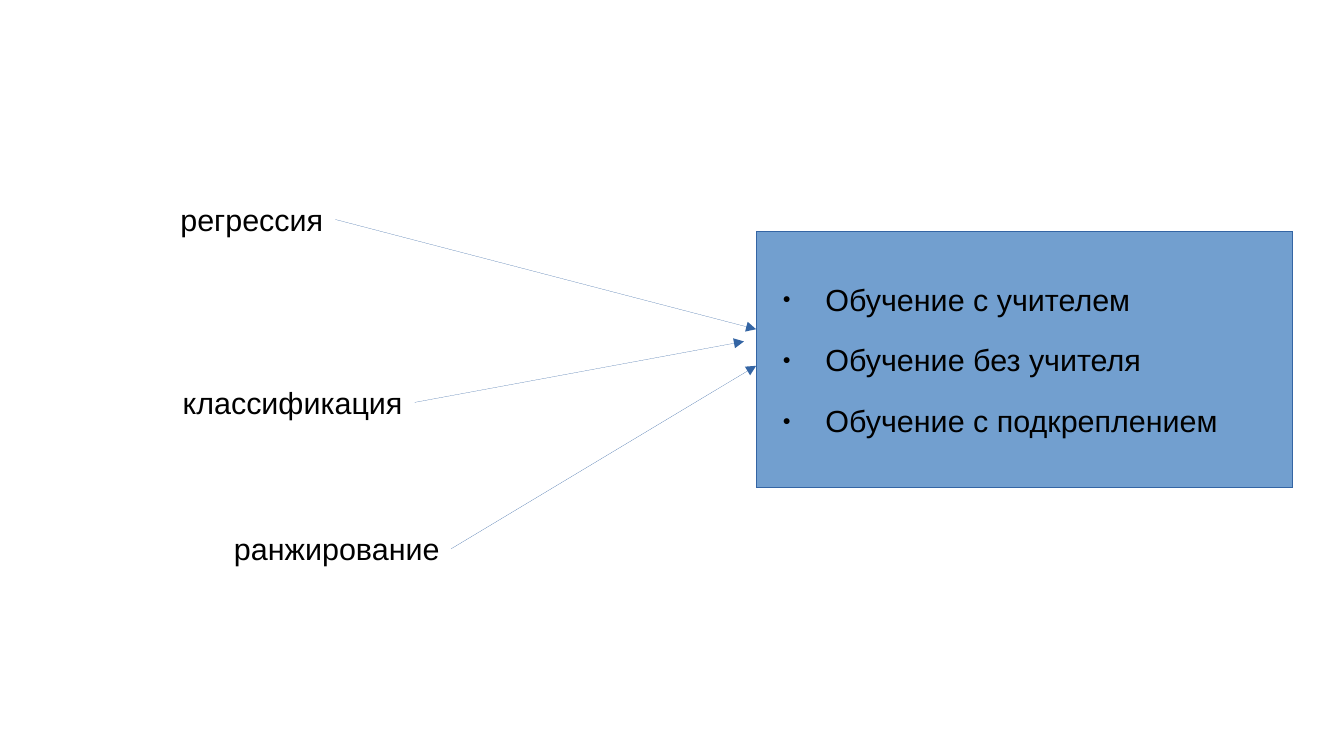
"""Build a slide linking machine learning tasks to the kinds of learning."""
from lxml.etree import SubElement
from pptx import Presentation
from pptx.dml.color import RGBColor
from pptx.enum.shapes import MSO_CONNECTOR, MSO_SHAPE
from pptx.enum.text import MSO_ANCHOR, MSO_AUTO_SIZE, PP_ALIGN
from pptx.oxml.ns import qn
from pptx.util import Inches, Pt

COLORS = {"text": "000000", "panel": "729FCF", "line": "3465A4"}
FONT, FONT_SIZE = "Arial", 18
TASKS = [
    ("регрессия", (1.38, 1.6, 1.38, 0.38), (2.75, 1.8), (6.2, 2.7)),
    ("классификация", (1.4, 3.1, 2.03, 0.38), (3.4, 3.3), (6.1, 2.8)),
    ("ранжирование", (1.82, 4.3, 1.91, 0.38), (3.7, 4.5), (6.2, 3)),
]
LEARNING_KINDS = ["Обучение с учителем", "Обучение без учителя", "Обучение с подкреплением"]
PANEL_BOX = (6.2, 1.9, 4.4, 2.1)


def color(name):
    return RGBColor.from_string(COLORS[name])


def inches(values):
    return [Inches(value) for value in values]


def write(paragraph, words):
    paragraph.alignment = PP_ALIGN.LEFT
    run = paragraph.add_run()
    run.text = words
    run.font.name = FONT
    run.font.size = Pt(FONT_SIZE)
    run.font.color.rgb = color("text")


def add_bullet(paragraph):
    paragraph.space_before = Pt(14.2)
    properties = paragraph._p.get_or_add_pPr()
    properties.set("marL", str(Inches(0.47)))
    properties.set("indent", str(Inches(-0.35)))
    bullet_color = SubElement(properties, qn("a:buClr"))
    SubElement(bullet_color, qn("a:srgbClr"), val=COLORS["text"])
    SubElement(properties, qn("a:buSzPct"), val="45000")
    SubElement(properties, qn("a:buFont"), typeface=FONT)
    SubElement(properties, qn("a:buChar"), char="●")


def draw_hairline(line):
    line.color.rgb = color("line")
    outline = line._get_or_add_ln()
    outline.set("w", "0")
    return outline


def add_task(slide, words, box):
    label = slide.shapes.add_textbox(*inches(box)).text_frame
    label.word_wrap = False
    label.auto_size = MSO_AUTO_SIZE.SHAPE_TO_FIT_TEXT
    write(label.paragraphs[0], words)


def add_panel(slide):
    panel = slide.shapes.add_shape(MSO_SHAPE.RECTANGLE, *inches(PANEL_BOX))
    panel.shadow.inherit = False
    panel.fill.solid()
    panel.fill.fore_color.rgb = color("panel")
    draw_hairline(panel.line)
    frame = panel.text_frame
    frame.word_wrap = True
    frame.vertical_anchor = MSO_ANCHOR.MIDDLE
    for index, kind in enumerate(LEARNING_KINDS):
        paragraph = frame.add_paragraph() if index else frame.paragraphs[0]
        write(paragraph, kind)
        add_bullet(paragraph)


def add_arrow(slide, start, end):
    arrow = slide.shapes.add_connector(MSO_CONNECTOR.STRAIGHT, *inches(start + end))
    outline = draw_hairline(arrow.line)
    SubElement(outline, qn("a:tailEnd"), type="triangle")
    SubElement(arrow._element.spPr, qn("a:effectLst"))


def main():
    deck = Presentation()
    deck.slide_width, deck.slide_height = inches((11.02, 6.2))
    slide = deck.slides.add_slide(deck.slide_layouts[6])
    for words, box, _, _ in TASKS:
        add_task(slide, words, box)
    add_panel(slide)
    for _, _, start, end in TASKS:
        add_arrow(slide, start, end)
    deck.save("out.pptx")


if __name__ == "__main__":
    main()
